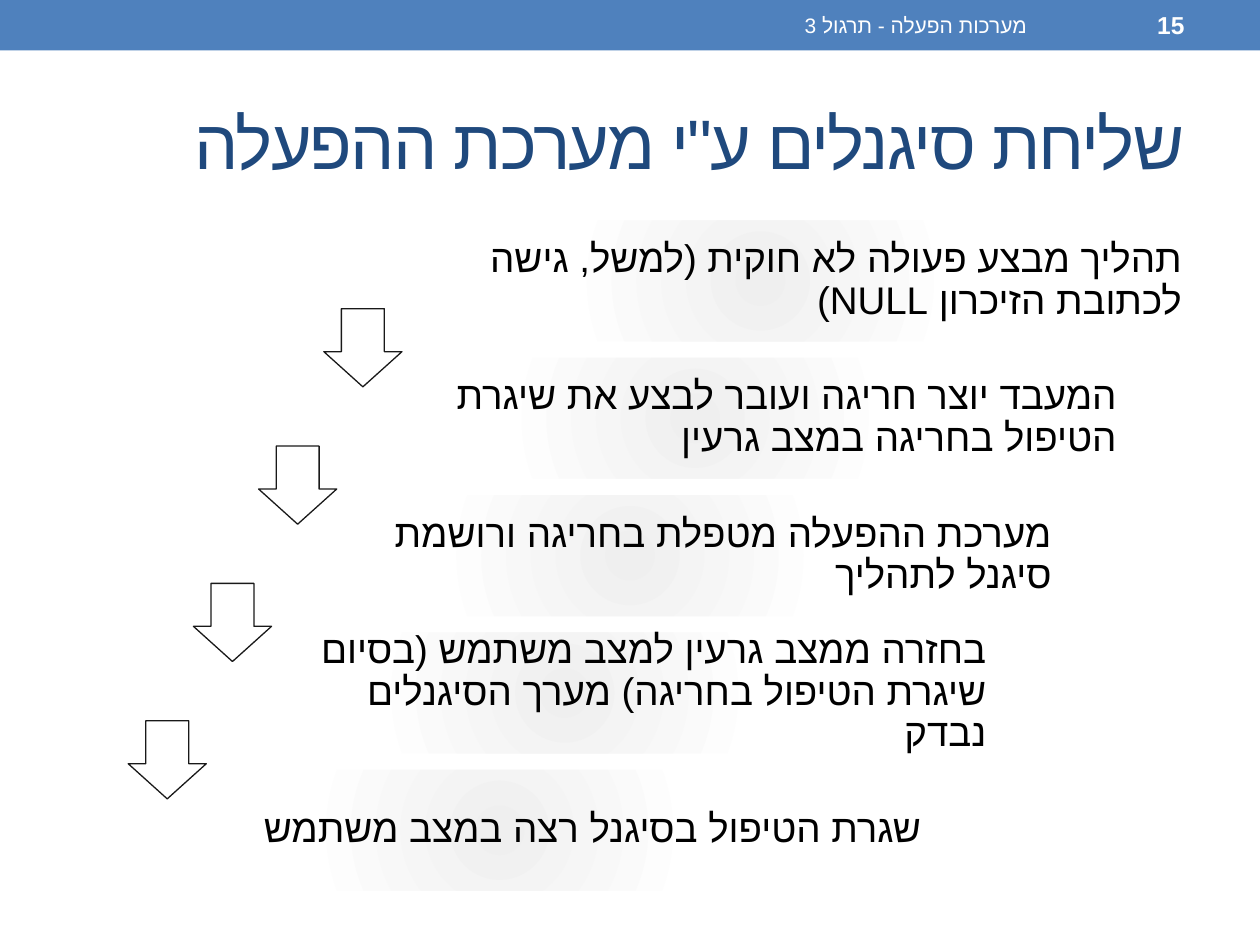
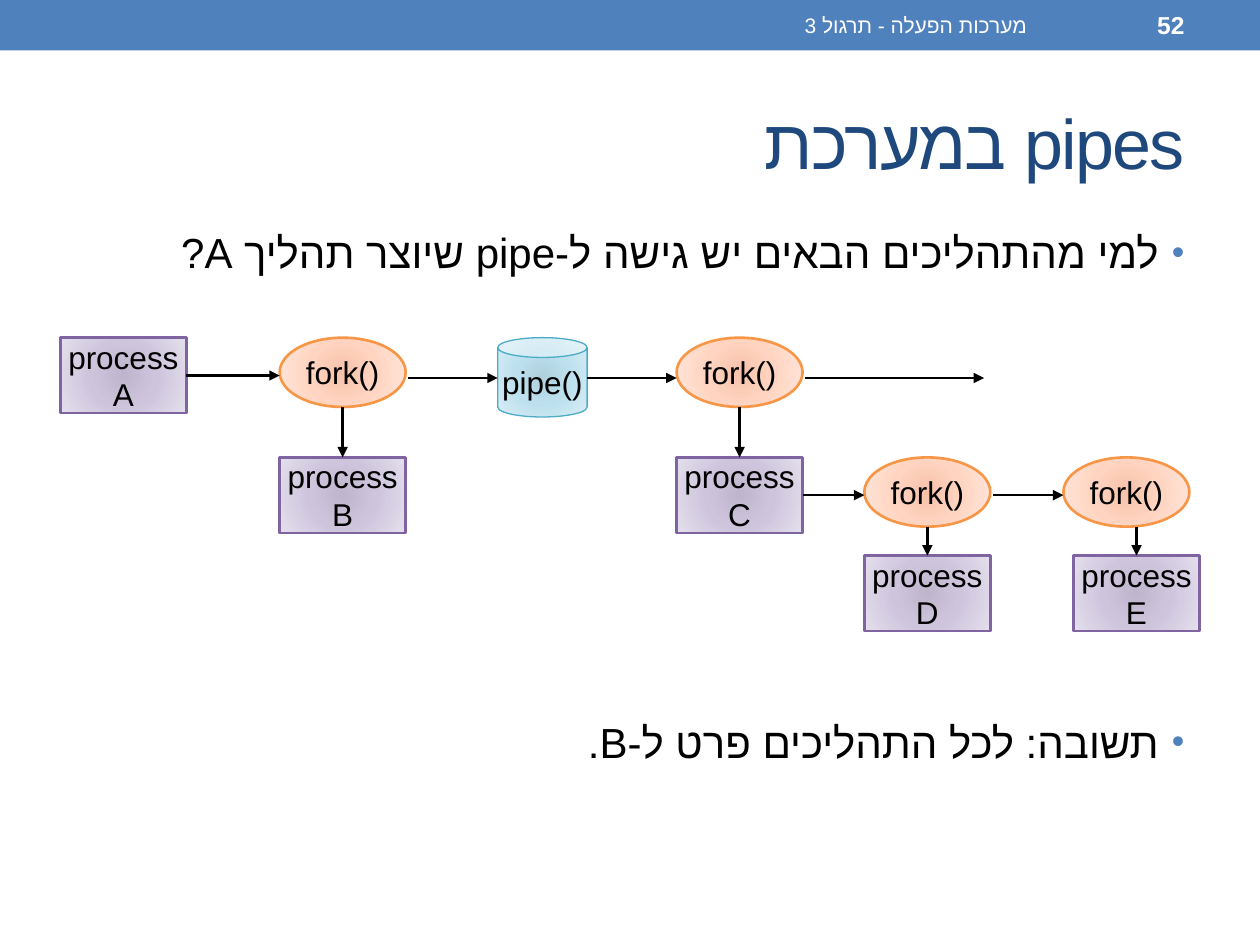
from lxml import etree
from pptx import Presentation
from pptx import util as u
from pptx.dml.color import RGBColor
from pptx.enum import shapes as kinds, text
from pptx.oxml import parse_xml
from pptx.oxml.ns import nsdecls, qn

BLUE = RGBColor(0x4F, 0x81, 0xBD)
NAVY = RGBColor(0x1F, 0x49, 0x7D)
WHITE = RGBColor(0xFF, 0xFF, 0xFF)
BLACK = RGBColor(0, 0, 0)
ORANGE = RGBColor(0xF7, 0x96, 0x46)
PURPLE = RGBColor(0x80, 0x64, 0xA2)
TEAL = RGBColor(0x4B, 0xAC, 0xC6)
# Radial gradients, centre to edge, with stops at 0, 45 and 100 percent
GREY_GLOW = [RGBColor(0xEF, 0xEF, 0xEF), WHITE, WHITE]
ORANGE_GLOW = [RGBColor(0xF6, 0xC2, 0xAA), RGBColor(0xFF, 0xD4, 0xC0), RGBColor(0xFF, 0xE7, 0xDD)]
PURPLE_GLOW = [RGBColor(0xBF, 0xB6, 0xCD), RGBColor(0xCE, 0xC5, 0xDD), RGBColor(0xE4, 0xDF, 0xEC)]
TEAL_GLOW = [RGBColor(0xAF, 0xD0, 0xDD), RGBColor(0xBC, 0xE0, 0xEE), RGBColor(0xDA, 0xEE, 0xF6)]
FONT = "Arial"
MARGIN = 0.5
PRESET = kinds.MSO_SHAPE


def style(frame, size, color, align=text.PP_ALIGN.RIGHT, anchor=text.MSO_ANCHOR.MIDDLE):
    """Format every paragraph; right-aligned text also runs right to left."""
    frame.vertical_anchor = anchor
    frame.auto_size = text.MSO_AUTO_SIZE.NONE
    for paragraph in frame.paragraphs:
        paragraph.alignment = align
        paragraph.font.size = u.Pt(size)
        paragraph.font.name = FONT
        paragraph.font.color.rgb = color
        properties = paragraph._p.pPr
        etree.SubElement(properties.find(qn("a:defRPr")), qn("a:cs"), typeface=FONT)
        if align == text.PP_ALIGN.RIGHT:
            properties.set("rtl", "1")


def add_glow(slide, preset, left, top, width, height, colors, outline=None, weight=1.5):
    """Add a preset shape with a radial gradient and an optional outline."""
    shape = slide.shapes.add_shape(preset, *map(u.Inches, (left, top, width, height)))
    shape.shadow.inherit = False
    shape.fill.background()
    stops = "".join(f'<a:gs pos="{pos}000"><a:srgbClr val="{color}"/></a:gs>'
                    for pos, color in zip((0, 45, 100), colors))
    properties = shape.element.spPr
    properties.replace(properties.find(qn("a:noFill")), parse_xml(
        f'<a:gradFill {nsdecls("a")}><a:gsLst>{stops}</a:gsLst><a:path path="circle">'
        '<a:fillToRect l="100000" t="100000" r="100000" b="100000"/></a:path></a:gradFill>'))
    if outline is None:
        shape.line.fill.background()
    else:
        shape.line.color.rgb = outline
        shape.line.width = u.Pt(weight)
    return shape


prs = Presentation()
prs.slide_width, prs.slide_height = u.Inches(10), u.Inches(7.5)
signals = prs.slides.add_slide(prs.slide_layouts[5])
pipes = prs.slides.add_slide(prs.slide_layouts[1])

# Shared band, header, page number and title
for slide, number, heading in [
    (signals, "15", 'שליחת סיגנלים ע"י מערכת ההפעלה'),
    (pipes, "52", "pipes במערכת"),
]:
    band = slide.shapes.add_shape(PRESET.RECTANGLE, 0, 0, prs.slide_width, u.Inches(0.4))
    band.shadow.inherit = False
    band.fill.solid()
    band.fill.fore_color.rgb = BLUE
    band.line.fill.background()

    for left, width, words, size in [(3.75, 4.5, "מערכות הפעלה - תרגול 3", 12),
                                     (8.33, 1.17, number, 14)]:
        header = slide.shapes.add_textbox(*map(u.Inches, (left, 0.02, width, 0.36)))
        header.text_frame.word_wrap = True
        header.text_frame.text = words
        style(header.text_frame, size, WHITE)
        header.text_frame.paragraphs[0].font.bold = words == number

    title = slide.shapes.title
    title.left, title.top, title.width, title.height = map(u.Inches, (MARGIN, 0.58, 9, 1.08))
    title.text_frame.text = heading
    style(title.text_frame, 40, NAVY)
    title.text_frame.paragraphs[0]._p.pPr.find(qn("a:defRPr")).set("spc", "-100")

# Signal steps: a staircase running down to the left
steps = [
    "תהליך מבצע פעולה לא חוקית (למשל, גישה לכתובת הזיכרון NULL)",
    "המעבד יוצר חריגה ועובר לבצע את שיגרת הטיפול בחריגה במצב גרעין",
    "מערכת ההפעלה מטפלת בחריגה ורושמת סיגנל לתהליך",
    "בחזרה ממצב גרעין למצב משתמש (בסיום שיגרת הטיפול בחריגה) מערך הסיגנלים נבדק",
    "שגרת הטיפול בסיגנל רצה במצב משתמש",
]
STEP_WIDTH, STEP_HEIGHT, STEP_TOP = 6.93, 0.96, 1.75
STAIR_X = (9 - STEP_WIDTH) / (len(steps) - 1)
STAIR_Y = 1.09
step_lefts = [MARGIN + STAIR_X * (len(steps) - 1 - i) for i in range(len(steps))]

for i, (left, words) in enumerate(zip(step_lefts, steps)):
    step = add_glow(signals, PRESET.ROUNDED_RECTANGLE, left, STEP_TOP + i * STAIR_Y,
                    STEP_WIDTH, STEP_HEIGHT, GREY_GLOW)
    step.adjustments[0] = 0.1
    frame = step.text_frame
    frame.word_wrap = True
    frame.margin_left, frame.margin_right = u.Inches(1.22), u.Inches(0.09)
    frame.text = words
    style(frame, 22, BLACK)
    frame.paragraphs[0].line_spacing = 0.9

# Arrows between consecutive steps
for i, left in enumerate(step_lefts[:-1]):
    arrow = signals.shapes.add_shape(
        PRESET.DOWN_ARROW, *map(u.Inches, (left, 2.45 + i * STAIR_Y, 0.62, 0.62)))
    arrow.shadow.inherit = False
    arrow.adjustments[0], arrow.adjustments[1] = 0.55, 0.45
    arrow.fill.solid()
    arrow.fill.fore_color.rgb = WHITE
    arrow.line.color.rgb = BLACK
    arrow.line.width = u.Pt(0.75)
    for color in arrow.element.spPr.iter(qn("a:srgbClr")):
        etree.SubElement(color, qn("a:alpha"), val="90000")

# Question and answer
body = pipes.placeholders[1]
body.left, body.top, body.width, body.height = map(u.Inches, (MARGIN, 1.75, 9, 5.33))
body.text_frame.text = ("למי מהתהליכים הבאים יש גישה ל-pipe שיוצר תהליך A?\n"
                        "תשובה: לכל התהליכים פרט ל-B.")
style(body.text_frame, 24, BLACK, anchor=text.MSO_ANCHOR.TOP)
for paragraph, gap in zip(body.text_frame.paragraphs, (5, 251)):
    paragraph.space_before = u.Pt(gap)
    properties = paragraph._p.pPr
    properties.set("marL", str(u.Inches(0.2)))
    properties.set("indent", str(-u.Inches(0.2)))
    for bullet in (f'<a:buClr {nsdecls("a")}><a:srgbClr val="{BLUE}"/></a:buClr>',
                   f'<a:buSzPct {nsdecls("a")} val="85000"/>',
                   f'<a:buFont {nsdecls("a")} typeface="{FONT}"/>',
                   f'<a:buChar {nsdecls("a")} char="•"/>'):
        properties.find(qn("a:defRPr")).addprevious(parse_xml(bullet))

# Process tree: rows and columns of nodes
ROW_1, ROW_2, ROW_3 = 2.68, 3.63, 4.41
COL_A, COL_B, COL_PIPE, COL_C, COL_D, COL_E = 0.48, 2.22, 3.95, 5.37, 6.86, 8.52
FORK_E = 8.44
NODE_WIDTH, FORK_HEIGHT, PROCESS_HEIGHT, PIPE_WIDTH = 1, 0.55, 0.6, 0.71

nodes = [(PRESET.OVAL, left, top, NODE_WIDTH, FORK_HEIGHT, ORANGE_GLOW, ORANGE, 1.5, "fork()")
         for left, top in [(COL_B, ROW_1), (COL_C, ROW_1), (COL_D, ROW_2), (FORK_E, ROW_2)]]
nodes += [(PRESET.RECTANGLE, left, top, NODE_WIDTH, PROCESS_HEIGHT, PURPLE_GLOW, PURPLE, 1.5,
           f"process\n{letter}")
          for letter, left, top in [("A", COL_A, ROW_1), ("B", COL_B, ROW_2), ("C", COL_C, ROW_2),
                                    ("D", COL_D, ROW_3), ("E", COL_E, ROW_3)]]
nodes.append((PRESET.CAN, COL_PIPE, ROW_1, PIPE_WIDTH, 0.63, TEAL_GLOW, TEAL, 0.75, "pipe()"))
processes = {}
for *look, label in nodes:
    node = add_glow(pipes, *look)
    node.text_frame.text = label
    node.text_frame.word_wrap = False
    style(node.text_frame, 18, BLACK, text.PP_ALIGN.CENTER)
    processes[label[-1]] = node

# Flow arrows: start, end, process left from its right side, process entered from above
FLOW_1, FLOW_2 = ROW_1 + 0.32, ROW_2 + PROCESS_HEIGHT / 2
FLOW_A = ROW_1 + PROCESS_HEIGHT / 2
GAP = 0.02
flows = [
    (COL_A + NODE_WIDTH, FLOW_A, COL_B, FLOW_A, "A", None),
    (COL_B + NODE_WIDTH + GAP, FLOW_1, COL_PIPE, FLOW_1, None, None),
    (COL_PIPE + PIPE_WIDTH, FLOW_1, COL_C, FLOW_1, None, None),
    (COL_C + NODE_WIDTH + GAP, FLOW_1, 7.81, FLOW_1, None, None),
    (COL_C + NODE_WIDTH, FLOW_2, COL_D, FLOW_2, "C", None),
    (COL_D + NODE_WIDTH + GAP, FLOW_2, FORK_E, FLOW_2, None, None),
]
flows += [(left + NODE_WIDTH / 2, top + FORK_HEIGHT, left + NODE_WIDTH / 2, below, None, letter)
          for letter, left, top, below in [("B", COL_B, ROW_1, ROW_2), ("C", COL_C, ROW_1, ROW_2),
                                           ("D", COL_D, ROW_2, ROW_3), ("E", COL_E, ROW_2, ROW_3)]]
for *ends, source, target in flows:
    flow = pipes.shapes.add_connector(kinds.MSO_CONNECTOR.STRAIGHT, *map(u.Inches, ends))
    flow.line.color.rgb = BLACK
    flow.line.width = u.Pt(1.5)
    properties = flow.element.spPr
    etree.SubElement(properties.find(qn("a:ln")), qn("a:tailEnd"), type="triangle")
    etree.SubElement(properties, qn("a:effectLst"))
    if source:
        flow.begin_connect(processes[source], 3)
    if target:
        flow.end_connect(processes[target], 0)

prs.save("out.pptx")
